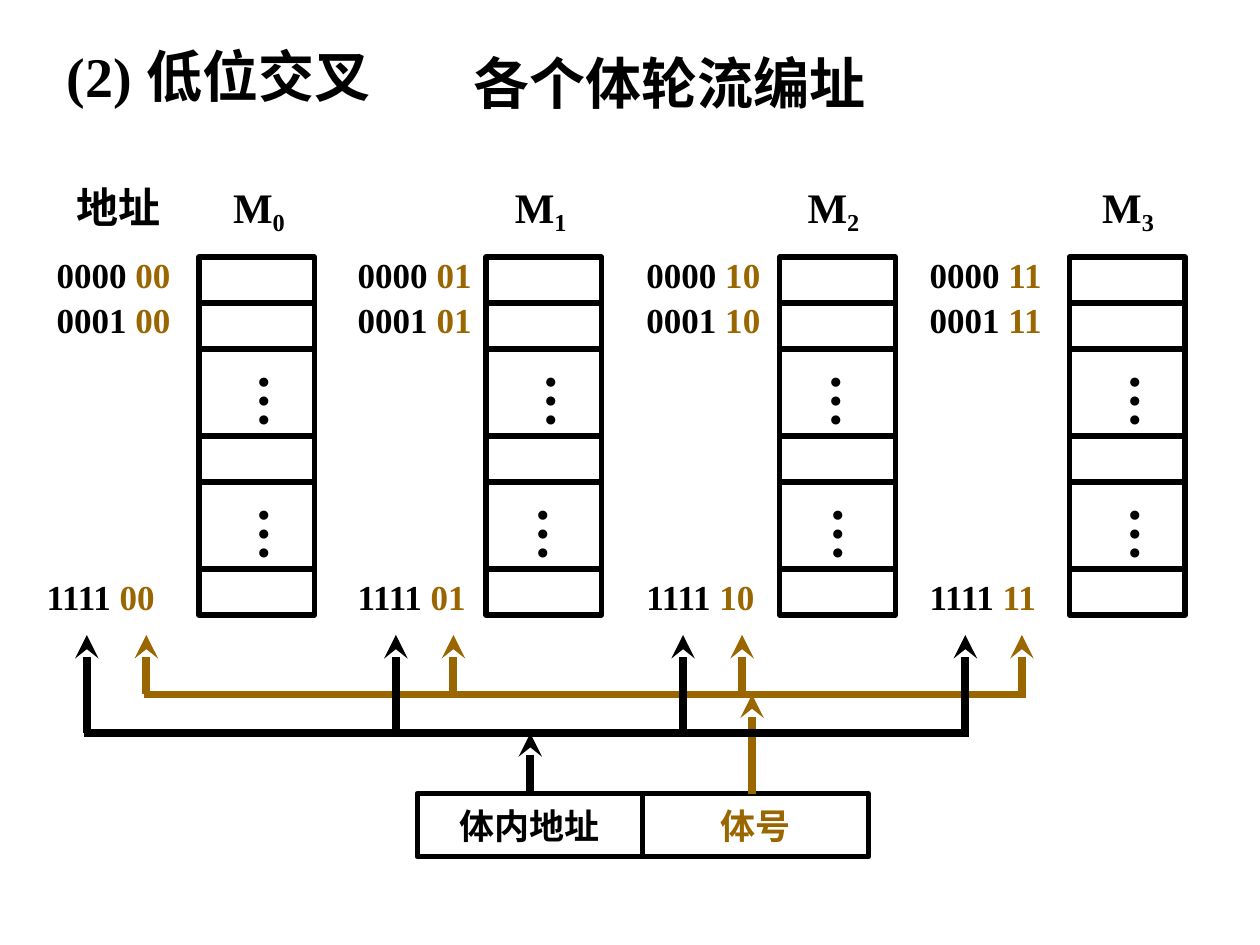
from dataclasses import dataclass

from lxml import etree
from pptx import Presentation
from pptx.dml.color import RGBColor
from pptx.enum.shapes import MSO_CONNECTOR, MSO_SHAPE
from pptx.enum.text import MSO_ANCHOR, MSO_AUTO_SIZE, PP_ALIGN
from pptx.oxml.ns import qn
from pptx.util import Cm, Pt

STRAIGHT = MSO_CONNECTOR.STRAIGHT
RECTANGLE = MSO_SHAPE.RECTANGLE
TOP, MIDDLE = MSO_ANCHOR.TOP, MSO_ANCHOR.MIDDLE
GROW = MSO_AUTO_SIZE.SHAPE_TO_FIT_TEXT
LEFT, CENTER = PP_ALIGN.LEFT, PP_ALIGN.CENTER

BLACK = RGBColor(0x00, 0x00, 0x00)
BROWN = RGBColor(0x99, 0x66, 0x00)
FONT_FORMAT = {"name": "Times New Roman", "bold": True}
TITLE_ONLY_LAYOUT = 5

CELL_WIDTH = 2.33
SHORT, TALL = 0.93, 1.75
CELL_HEIGHTS = [SHORT, SHORT, TALL, SHORT, TALL, SHORT]
BANK_TOP = 5.18
ADDRESS_ROWS = [("0000", 4.98), ("0001", 5.89), ("1111", 11.48)]
ARROW_TOP = 12.8
REGISTER_TOP = 16.0


@dataclass
class Bank:
    """Places of one memory bank; offsets count from its left edge."""
    number: str
    left: float
    label_offset: float
    dot_offsets: tuple
    address_lefts: tuple
    inner_arrow: float
    number_arrow: float


BANKS = [
    Bank("00", 4.01, 0.44, (0.64, 0.64), (0.89, 0.89, 0.69), 1.75, 2.95),
    Bank("01", 9.80, 0.33, (0.64, 0.48), (6.96,) * 3, 7.98, 9.14),
    Bank("10", 15.72, 0.31, (0.46, 0.51), (12.78,) * 3, 13.77, 14.96),
    Bank("11", 21.56, 0.41, (0.66, 0.66), (18.49,) * 3, 19.46, 20.60),
]


def fill_text(shape, runs, size, wrap=True, align=LEFT, anchor=TOP):
    """Write (text, colour) runs into the first paragraph and return them."""
    frame_format = {"word_wrap": wrap, "vertical_anchor": anchor}
    for name, value in frame_format.items():
        setattr(shape.text_frame, name, value)
    paragraph = shape.text_frame.paragraphs[0]
    paragraph.alignment = align
    added = []
    for text, colour in runs:
        run = paragraph.add_run()
        run.text = text
        for name, value in {**FONT_FORMAT, "size": Pt(size)}.items():
            setattr(run.font, name, value)
        run.font.color.rgb = colour
        added.append(run)
    return added


def add_text(slide, box, runs, size, wrap=True):
    shape = slide.shapes.add_textbox(*map(Cm, box))
    added = fill_text(shape, runs, size, wrap)
    shape.text_frame.auto_size = GROW
    return shape, added


def add_cell(slide, box):
    cell = slide.shapes.add_shape(RECTANGLE, *map(Cm, box))
    cell.shadow.inherit = False
    cell.fill.background()
    cell.line.color.rgb = BLACK
    cell.line.width = Pt(3)
    return cell


def add_wire(slide, start, end, colour, arrow=False):
    """Draw a line; an arrowhead, if wanted, sits at the start."""
    wire = slide.shapes.add_connector(STRAIGHT, *map(Cm, (*start, *end)))
    wire.line.color.rgb = colour
    wire.line.width = Pt(4.5)
    properties = wire.element.spPr
    if arrow:
        outline = properties.find(qn("a:ln"))
        etree.SubElement(outline, qn("a:headEnd"), type="stealth")
    etree.SubElement(properties, qn("a:effectLst"))


def add_headings(slide):
    title = slide.shapes.title
    box = {"left": 1.09, "top": 0.71, "width": 16.41, "height": 1.6}
    for name, value in box.items():
        setattr(title, name, Cm(value))
    fill_text(title, [("(2) 低位交叉", BLACK)], 32)
    title.text_frame.auto_size = GROW
    add_text(slide, (9.3, 0.86, 10.62, 1.6), [("各个体轮流编址", BLACK)], 32)


def add_bank(slide, bank, index, left, top):
    label_box = (left + bank.label_offset, top - 1.65, 1.6, 1.27)
    label_runs = [("M", BLACK), (str(index), BLACK)]
    _, runs = add_text(slide, label_box, label_runs, 24, wrap=False)
    runs[1].font._element.set("baseline", "-20000")

    dot_offsets = iter(bank.dot_offsets)
    for height in CELL_HEIGHTS:
        add_cell(slide, (left, top, CELL_WIDTH, height))
        if height == TALL:
            dot_box = (left + next(dot_offsets), top + 0.24, 1.85, 1.4)
            dots, _ = add_text(slide, dot_box, [("…", BLACK)], 32, wrap=False)
            dots.text_frame._txBody.bodyPr.set("vert", "eaVert")
        top += height


def add_addresses(slide, bank):
    for left, (inner, top) in zip(bank.address_lefts, ADDRESS_ROWS):
        runs = [(inner + " ", BLACK), (bank.number, BROWN)]
        add_text(slide, (left, top, 2.92, 1.09), runs, 20)


def add_bus(slide, arrows, level, feed, colour):
    """Draw a bus that rises to every bank and is fed from the register."""
    add_wire(slide, (arrows[0] - 0.05, level), (arrows[-1] + 0.08, level), colour)
    for x in arrows:
        add_wire(slide, (x, ARROW_TOP), (x, level), colour, arrow=True)
    add_wire(slide, (feed, level), (feed, REGISTER_TOP), colour, arrow=True)


def add_register(slide, left, top, field_width, height):
    fields = [("体内地址", BLACK), ("体号", BROWN)]
    for index, field in enumerate(fields):
        box = (left + index * field_width, top, field_width, height)
        cell = add_cell(slide, box)
        fill_text(cell, [field], 20, align=CENTER, anchor=MIDDLE)


def main():
    presentation = Presentation()
    presentation.slide_width, presentation.slide_height = Cm(25.4), Cm(19.05)
    layout = presentation.slide_layouts[TITLE_ONLY_LAYOUT]
    slide = presentation.slides.add_slide(layout)

    add_headings(slide)
    add_text(slide, (1.3, 3.53, 2.21, 1.27), [("地址", BLACK)], 24, wrap=False)
    for index, bank in enumerate(BANKS):
        add_bank(slide, bank, index, bank.left, BANK_TOP)
        add_addresses(slide, bank)
    add_register(slide, 8.41, REGISTER_TOP, 4.55, 1.27)
    add_bus(slide, [bank.number_arrow for bank in BANKS], 14.0, 15.16, BROWN)
    add_bus(slide, [bank.inner_arrow for bank in BANKS], 14.78, 10.69, BLACK)
    presentation.save("out.pptx")


if __name__ == "__main__":
    main()
